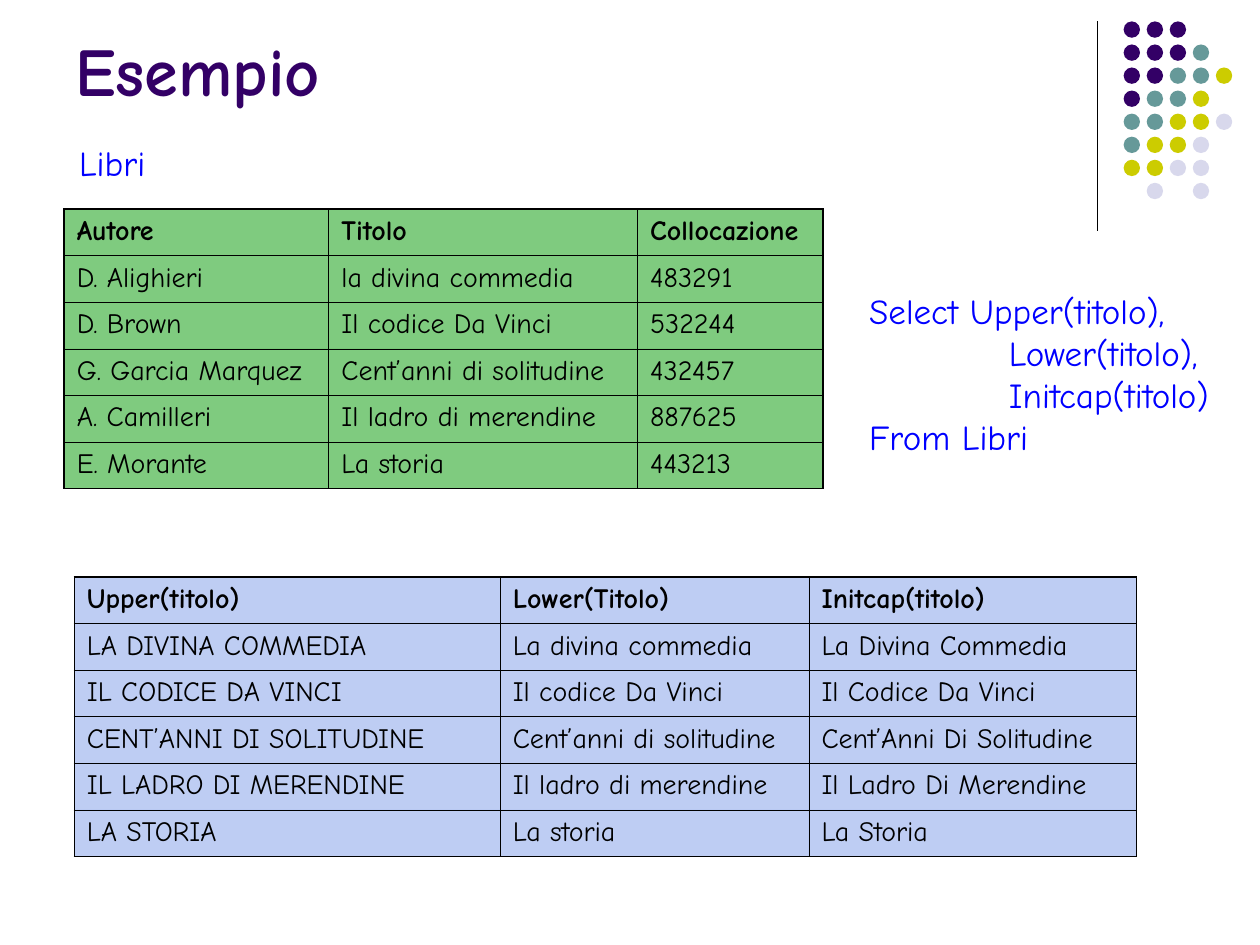
from lxml.etree import SubElement as Sub
from pptx import Presentation
from pptx.dml.color import RGBColor as Rgb
from pptx.enum.shapes import MSO_CONNECTOR as Conn, MSO_SHAPE as Shape
from pptx.enum.text import MSO_ANCHOR as Anchor
from pptx.oxml import parse_xml
from pptx.oxml.ns import nsdecls, qn
from pptx.util import Inches, Pt

FONT = "Comic Neue"
INK = {
    "plum": "330066", "teal": "669999", "lime": "CCCC00", "mist": "D8D8EC",
    "blue": "0000FF", "black": "000000", "green": "009900", "sky": "7E9CE8",
}
DOTS = ["ppp", "pppt", "ppttl", "pttl", "ttllm", "tllm", "llmm", " m m"]
BOOKS = [
    ("Autore", "Titolo", "Collocazione"),
    ("D. Alighieri", "la divina commedia", "483291"),
    ("D. Brown", "Il codice Da Vinci", "532244"),
    ("G. Garcia Marquez", "Cent’anni di solitudine", "432457"),
    ("A. Camilleri", "Il ladro di merendine", "887625"),
    ("E. Morante", "La storia", "443213"),
]
CASES = [
    ("Upper(titolo)", "Lower(Titolo)", "Initcap(titolo)"),
    ("LA DIVINA COMMEDIA", "La divina commedia", "La Divina Commedia"),
    ("IL CODICE DA VINCI", "Il codice Da Vinci", "Il Codice Da Vinci"),
    ("CENT’ANNI DI SOLITUDINE", "Cent’anni di solitudine", "Cent’Anni Di Solitudine"),
    ("IL LADRO DI MERENDINE", "Il ladro di merendine", "Il Ladro Di Merendine"),
    ("LA STORIA", "La storia", "La Storia"),
]
QUERY = [("Select Upper(titolo),", 0), ("Lower(titolo),", 11.1),
         ("Initcap(titolo)", 11.1), ("From Libri", 0)]


def grid(*cells):
    """Turn units of a 100 by 75 grid into lengths."""
    return [Inches(n / 10) for n in cells]


def tint(name):
    """Look up a colour by name."""
    return Rgb.from_string(INK[name])


def style(para, size, name, bold=False):
    """Set the font of a paragraph."""
    font = para.font
    font.name, font.size, font.bold = FONT, Pt(size), bold
    font.color.rgb = tint(name)


def add_text(slide, box, lines, size, name, bold=False, anchor=Anchor.TOP):
    """Place lines of text, each with its own left indent."""
    frame = slide.shapes.add_textbox(*grid(*box)).text_frame
    frame.word_wrap, frame.vertical_anchor = True, anchor
    for i, (text, left) in enumerate(lines):
        para = frame.add_paragraph() if i else frame.paragraphs[0]
        para.text = text
        if left:
            para._p.get_or_add_pPr().set("marL", str(*grid(left)))
        style(para, size, name, bold)


def add_dots(slide, box):
    """Draw the rule and the group of dots beside it."""
    x, y, wide, high = box
    rule = slide.shapes.add_connector(Conn.STRAIGHT, *grid(x, y, x, y + high))
    rule.line.color.rgb, rule.line.width = tint("black"), Pt(0.75)
    Sub(rule._element.spPr, qn("a:effectLst"))
    names = {name[0]: name for name in ("plum", "teal", "lime", "mist")}
    size, step = 1.3, 1.83
    start = x + wide - 4 * step - size
    group = slide.shapes.add_group_shape()
    for row, marks in enumerate(DOTS):
        for col, mark in enumerate(marks):
            if mark == " ":
                continue
            spot = grid(start + col * step, y + row * step, size, size)
            dot = group.shapes.add_shape(Shape.OVAL, *spot)
            dot.shadow.inherit = False
            dot.fill.solid()
            dot.fill.fore_color.rgb = tint(names[mark])
            dot.line.fill.background()


def paint(cell, name, outer):
    """Give a cell a half-clear fill and borders, thick on outer sides."""
    cell.fill.solid()
    cell.fill.fore_color.rgb = tint(name)
    props = cell._tc.get_or_add_tcPr()
    Sub(props.find(".//" + qn("a:srgbClr")), qn("a:alpha")).set("val", "50000")
    for i, side in enumerate("LRTB"):
        width = Pt(1.08 if side in outer else 0.45)
        props.insert(i, parse_xml(
            f'<a:ln{side} {nsdecls("a")} w="{width}"><a:solidFill>'
            f'<a:srgbClr val="{INK["black"]}"/></a:solidFill></a:ln{side}>'))


def add_grid(slide, box, cols, rows, name):
    """Place a table with a bold first row and equal row heights."""
    table = slide.shapes.add_table(len(rows), len(cols), *grid(*box)).table
    table.first_row = table.horz_banding = False
    for col, wide in zip(table.columns, grid(*cols)):
        col.width = wide
    for r, texts in enumerate(rows):
        table.rows[r].height = grid(box[3] / len(rows))[0]
        for c, text in enumerate(texts):
            cell = table.cell(r, c)
            cell.text = text
            style(cell.text_frame.paragraphs[0], 16, "black", r == 0)
            edges = {"L": c == 0, "R": c == len(cols) - 1,
                     "T": r == 0, "B": r == len(rows) - 1}
            paint(cell, name, [side for side, on in edges.items() if on])


def main():
    """Build the slide and save it."""
    deck = Presentation()
    deck.slide_width, deck.slide_height = grid(100, 75)
    slide = deck.slides.add_slide(deck.slide_layouts[6])
    add_dots(slide, (87.1, 1.7, 10.7, 16.6))
    add_text(slide, (5, -5, 82.5, 14.2), [("Esempio", 0)], 39, "plum",
             bold=True, anchor=Anchor.BOTTOM)
    add_grid(slide, (5.1, 16.6, 60.2, 22.2), (21, 24.5, 14.7), BOOKS, "green")
    add_text(slide, (5.3, 10.7, 9, 4.4), [("Libri", 0)], 20, "blue")
    add_text(slide, (68, 22.5, 31, 14.4), QUERY, 20, "blue")
    add_grid(slide, (5.9, 45.8, 84.3, 22.2), (33.8, 24.5, 26), CASES, "sky")
    deck.save("out.pptx")


if __name__ == "__main__":
    main()
